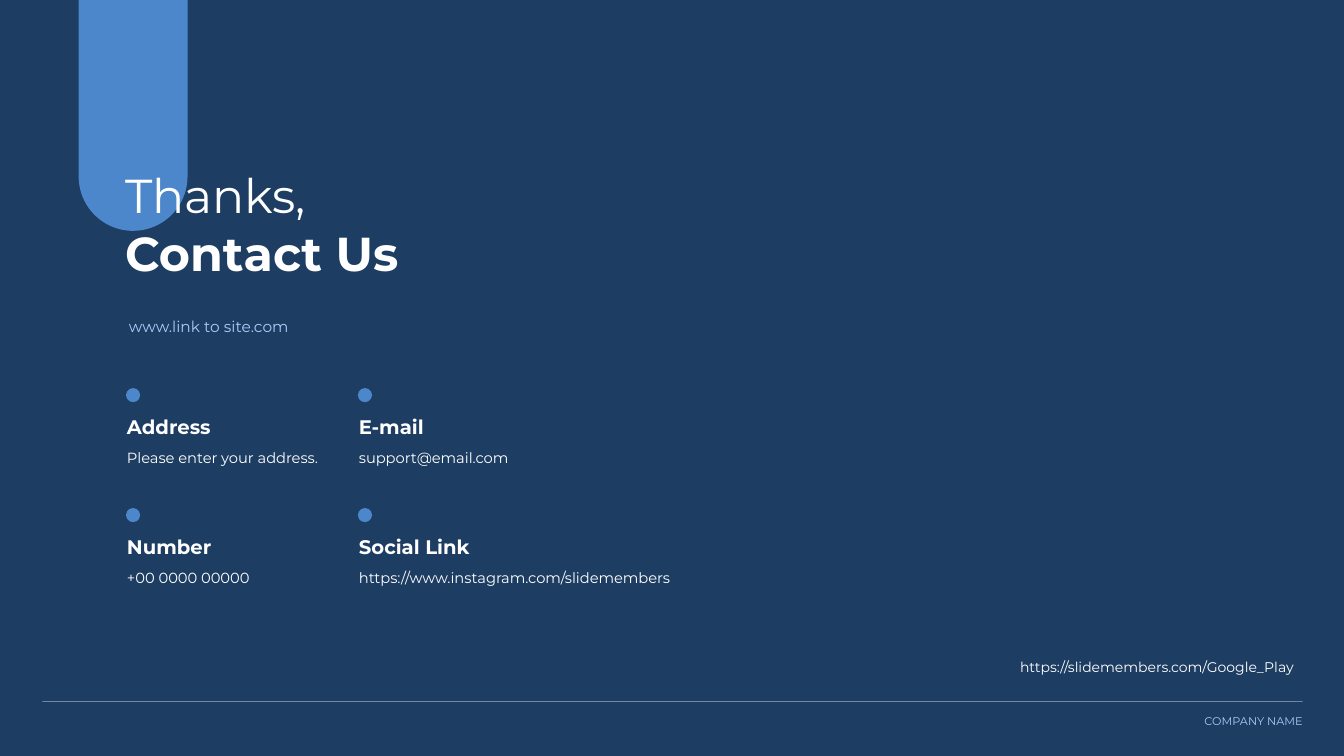
from lxml.etree import SubElement as Sub
from pptx import Presentation
from pptx.dml.color import RGBColor as RGB
from pptx.enum.shapes import MSO_CONNECTOR as Wire, MSO_SHAPE as Kind
from pptx.enum.text import MSO_ANCHOR as Anchor, PP_ALIGN as Align
from pptx.oxml.ns import qn
from pptx.util import Inches, Pt

NAVY = RGB(0x1D, 0x3D, 0x63)
BLUE = RGB(0x4D, 0x87, 0xCB)
PALE = RGB(0xAC, 0xCB, 0xF9)
GREY = RGB(0xC9, 0xCB, 0xE7)
WHITE = RGB(0xFF, 0xFF, 0xFF)
FACE = "Montserrat"

ITEMS = [
    ("Address", "Please enter your address."),
    ("E-mail", "support@email.com"),
    ("Number", "+00 0000 00000"),
    ("Social Link", "https://www.instagram.com/slidemembers"),
]


def style(para, size, color, bold=False, align=Align.LEFT):
    """Set the font and alignment of a paragraph."""
    para.alignment = align
    font = para.font
    font.name, font.size, font.bold = FACE, Pt(size), bold
    font.color.rgb = color


def add_text(slide, text, box, size, color, pad=(0.1, 0.05), **look):
    """Add a one-line text box."""
    frame = slide.shapes.add_textbox(*map(Inches, box)).text_frame
    frame.word_wrap = True
    frame.margin_left = frame.margin_right = Inches(pad[0])
    frame.margin_top = frame.margin_bottom = Inches(pad[1])
    frame.text = text
    style(frame.paragraphs[0], size, color, **look)


def add_shape(slide, kind, box):
    """Add a flat blue shape."""
    shape = slide.shapes.add_shape(kind, *map(Inches, box))
    shape.shadow.inherit = False
    shape.fill.solid()
    shape.fill.fore_color.rgb = BLUE
    shape.line.fill.background()
    return shape


def add_title(slide):
    """Fill the title with a regular and a bold line."""
    title = slide.shapes.title
    title.left, title.top = Inches(1.14), Inches(1.6)
    title.width, title.height = Inches(4.07), Inches(1.25)
    frame = title.text_frame
    frame.vertical_anchor = Anchor.TOP
    frame.word_wrap = True
    frame.text = "Thanks,\nContact Us"
    for para, bold in zip(frame.paragraphs, (False, True)):
        style(para, 34, WHITE, bold)


def add_bar(slide):
    """Hang the round-ended bar behind the title."""
    bar = add_shape(slide, Kind.ROUND_2_SAME_RECTANGLE, (0.78, 0, 1.08, 2.29))
    bar.adjustments[0], bar.adjustments[1] = 0, 0.5
    slide.shapes.title.element.addprevious(bar.element)


def add_item(slide, left, top, head, body):
    """Add a dot with a heading and a detail below it."""
    pad = (0.06, 0.03)
    add_shape(slide, Kind.OVAL, (left + 0.05, top, 0.14, 0.14))
    add_text(slide, head, (left, top + 0.24, 1.67, 0.23), 14, WHITE, pad, bold=True)
    width = 2.2 if left < 3 else 3.63
    add_text(slide, body, (left, top + 0.57, width, 0.28), 10.5, WHITE, pad)


def add_rule(slide):
    """Draw the half-clear footer rule."""
    ends = map(Inches, (0.42, 6.96, 12.92, 6.96))
    rule = slide.shapes.add_connector(Wire.STRAIGHT, *ends)
    rule.line.width = Pt(0.5)
    rule.line.color.rgb = GREY
    props = rule.element.spPr
    Sub(next(props.iter(qn("a:srgbClr"))), qn("a:alpha"), val="50000")
    Sub(props, qn("a:effectLst"))


def main():
    """Build and save the contact slide."""
    deck = Presentation()
    deck.slide_width, deck.slide_height = Inches(13.33), Inches(7.5)
    slide = deck.slides.add_slide(deck.slide_layouts[5])
    slide.background.fill.solid()
    slide.background.fill.fore_color.rgb = NAVY

    add_title(slide)
    add_bar(slide)
    add_text(slide, "www.link to site.com", (1.18, 3.1, 3.63, 0.29), 11, PALE)
    for i, (head, body) in enumerate(ITEMS):
        row, col = divmod(i, 2)
        add_item(slide, 1.2 + 2.3 * col, 3.85 + 1.19 * row, head, body)
    add_text(slide, "https://slidemembers.com/Google_Play", (9.6, 6.49, 3.3, 0.23),
             10, WHITE, (0.07, 0.04), align=Align.RIGHT)
    add_rule(slide)
    add_text(slide, "COMPANY NAME", (8.43, 7.04, 4.59, 0.24), 8, PALE,
             align=Align.RIGHT)
    deck.save("out.pptx")


if __name__ == "__main__":
    main()
